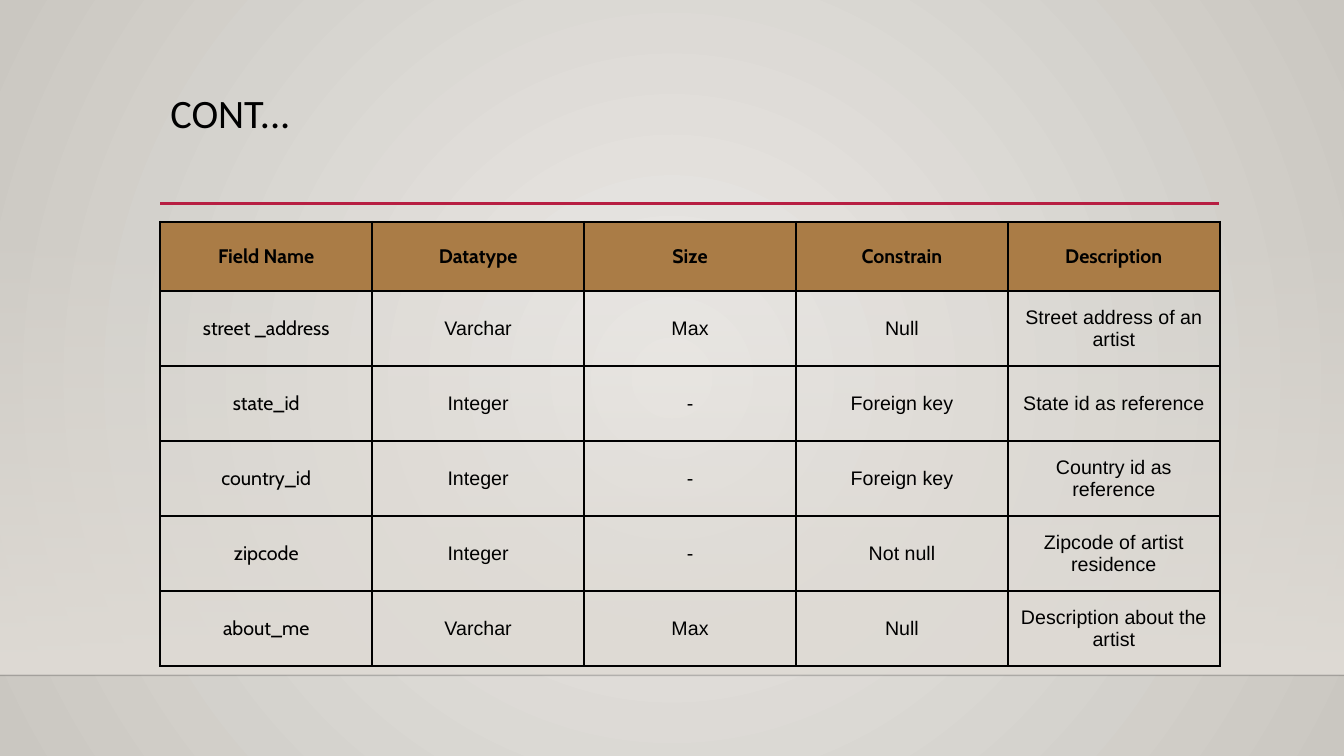
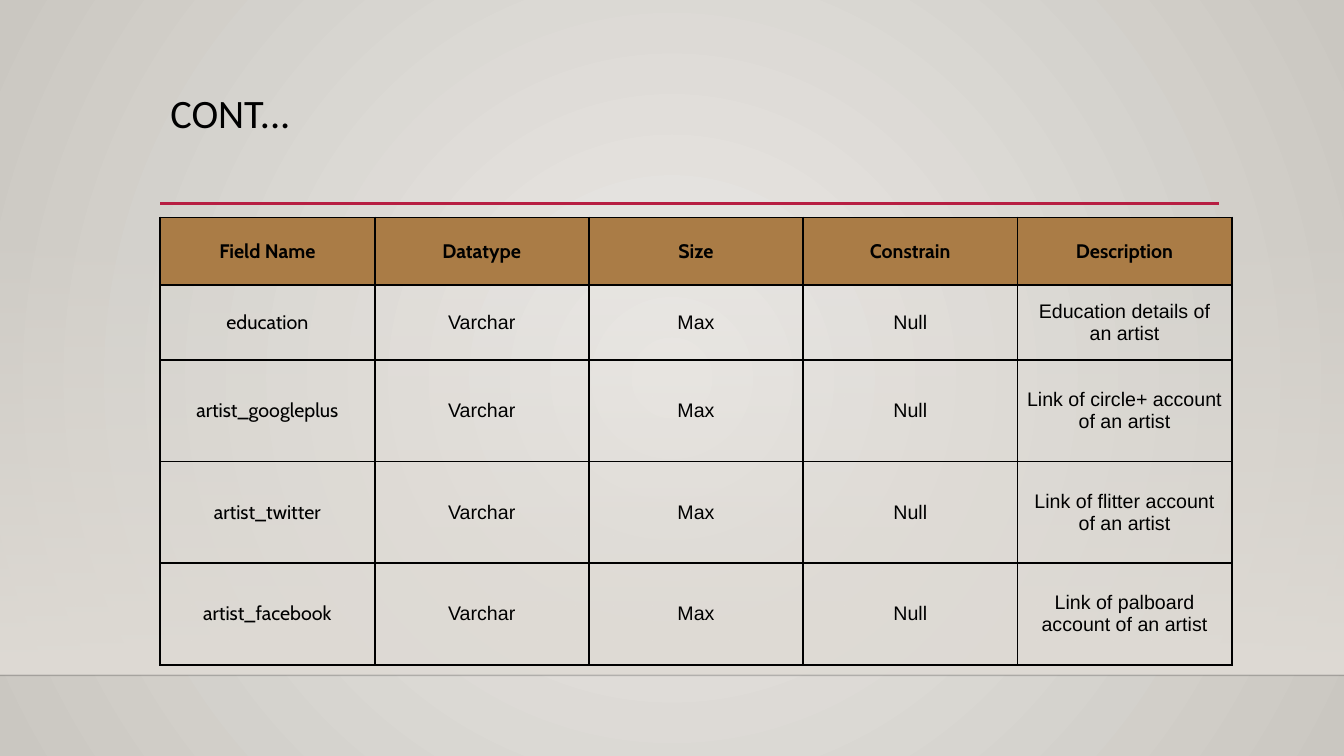
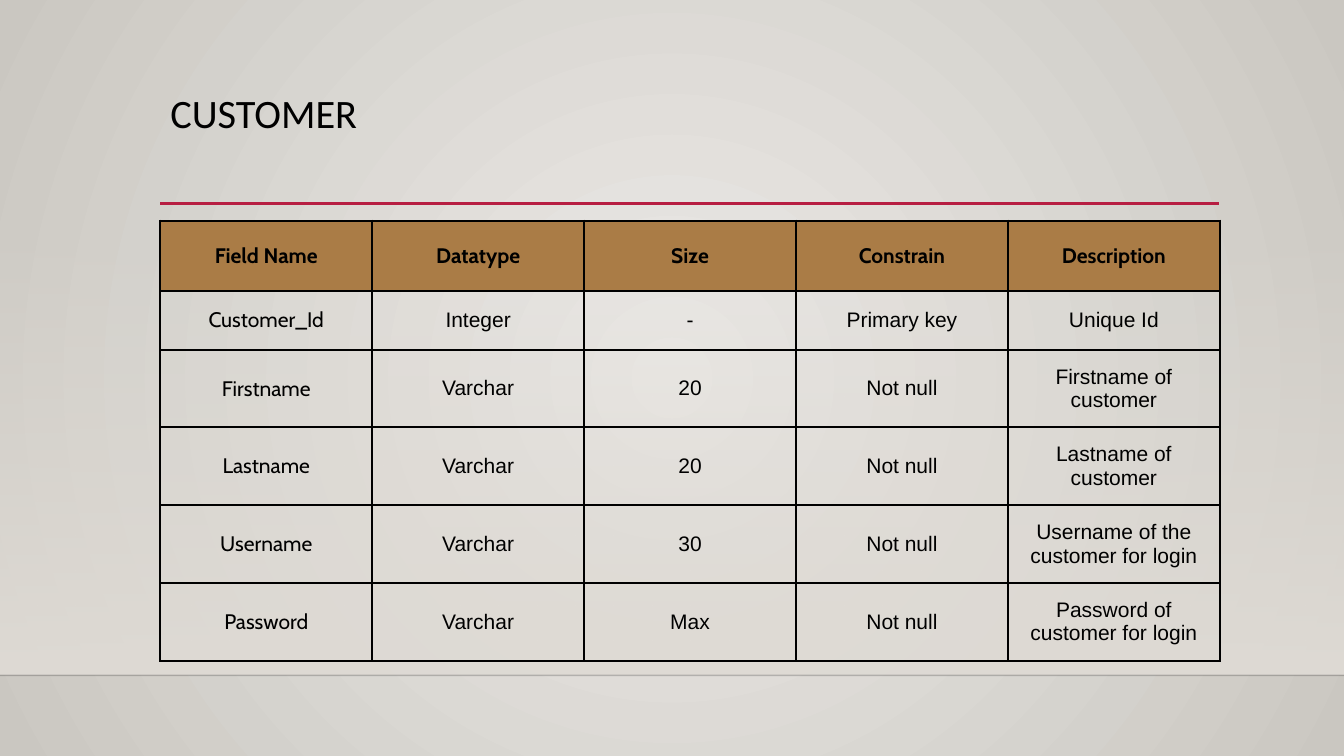
from dataclasses import dataclass

from lxml.etree import SubElement
from pptx import Presentation
from pptx.dml.color import RGBColor
from pptx.enum.shapes import MSO_CONNECTOR, MSO_SHAPE
from pptx.enum.text import MSO_ANCHOR, PP_ALIGN
from pptx.oxml.ns import qn
from pptx.util import Cm, Pt


@dataclass(frozen=True)
class Theme:
    black: str = "000000"
    accent: str = "B71E42"
    header: str = "AA7C46"
    glow: str = "ECEAE7"
    edge: str = "CAC7C1"
    floor: str = "DFDBD5"
    floor_line: str = "000001"
    title_font: str = "Calibri"
    name_font: str = "Cabin"
    body_font: str = "Arial"
    title_size: float = 28.8
    border: float = 1.5


theme = Theme()
LEFT = 4.04
HEADINGS = ["Field Name", "Datatype", "Size", "Constrain", "Description"]

SLIDES = [
    dict(title="CONT...", top=5.59, column=5.34, size=14, inset=0.2,
         heights=[1.74] + [1.89] * 5,
         rows=[
             ["street _address", "Varchar", "Max", "Null", "Street address of an artist"],
             ["state_id", "Integer", "-", "Foreign key", "State id as reference"],
             ["country_id", "Integer", "-", "Foreign key", "Country id as reference"],
             ["zipcode", "Integer", "-", "Not null", "Zipcode of artist residence"],
             ["about_me", "Varchar", "Max", "Null", "Description about the artist"],
         ]),
    dict(title="CONT...", top=5.48, column=5.4, size=14, inset=0.2,
         heights=[1.71, 1.88] + [2.56] * 3,
         rows=[
             ["education", "Varchar", "Max", "Null", "Education details of an artist"],
             ["artist_googleplus", "Varchar", "Max", "Null", "Link of circle+ account of an artist"],
             ["artist_twitter", "Varchar", "Max", "Null", "Link of flitter account of an artist"],
             ["artist_facebook", "Varchar", "Max", "Null", "Link of palboard account of an artist"],
         ]),
    dict(title="CUSTOMER", top=5.56, column=5.34, size=15, inset=0.23,
         heights=[1.77, 1.48] + [1.96] * 4,
         rows=[
             ["Customer_Id", "Integer", "-", "Primary key", "Unique Id"],
             ["Firstname", "Varchar", "20", "Not null", "Firstname of customer"],
             ["Lastname", "Varchar", "20", "Not null", "Lastname of customer"],
             ["Username", "Varchar", "30", "Not null", "Username of the customer for login"],
             ["Password", "Varchar", "Max", "Not null", "Password of customer for login"],
         ]),
]


def write(frame, text, font, size, bold=False, align=PP_ALIGN.CENTER, spacing=1.0):
    para = frame.paragraphs[0]
    para.alignment = align
    para.line_spacing = spacing
    span = para.add_run()
    span.text = text
    span.font.name = font
    span.font.size = Pt(size)
    span.font.bold = bold
    span.font.color.rgb = RGBColor.from_string(theme.black)


def paint_gradient(fill, *colours):
    fill.gradient()
    for stop, colour in zip(fill.gradient_stops, colours):
        stop.color.rgb = RGBColor.from_string(colour)


deck = Presentation()
deck.slide_width = Cm(33.87)
deck.slide_height = Cm(19.05)
layout = deck.slide_layouts[5]

title, *footers = layout.placeholders
for footer in footers:
    layout.shapes.element.remove(footer.element)
title.left, title.top, title.width, title.height = Cm(LEFT), Cm(2.24), Cm(26.68), Cm(2.92)
title.text_frame.vertical_anchor = MSO_ANCHOR.TOP

paint_gradient(layout.background.fill, theme.glow, theme.edge)
gradient = layout.element.find(".//" + qn("a:gradFill"))
gradient.remove(gradient.find(qn("a:lin")))
circle = SubElement(gradient, qn("a:path"), path="circle")
SubElement(circle, qn("a:fillToRect"), l="50000", t="50000", r="50000", b="50000")

pages = [deck.slides.add_slide(layout) for _ in SLIDES]

shapes = pages[0].shapes
band = shapes.add_shape(MSO_SHAPE.RECTANGLE, 0, Cm(5.61), deck.slide_width, Cm(11.4))
band.shadow.inherit = False
band.line.fill.background()
paint_gradient(band.fill, theme.floor, theme.floor)
band.fill.gradient_angle = 270
SubElement(band.element.find(".//" + qn("a:srgbClr")), qn("a:alpha"), val="0")

rules = []
for start, end, height, colour, width in [
    (0, 33.87, 17.02, theme.floor_line, 1),
    (LEFT, 30.73, 5.13, theme.accent, 2.5),
]:
    rule = shapes.add_connector(MSO_CONNECTOR.STRAIGHT, Cm(start), Cm(height), Cm(end), Cm(height))
    rule.line.color.rgb = RGBColor.from_string(colour)
    rule.line.width = Pt(width)
    SubElement(rule.element.spPr, qn("a:effectLst"))
    rules.append(rule)
SubElement(rules[0].element.find(".//" + qn("a:srgbClr")), qn("a:alpha"), val="20000")

for position, shape in enumerate([band, *rules], start=2):
    layout.shapes.element.insert(position, shape.element)

for page, content in zip(pages, SLIDES):
    write(page.shapes.title.text_frame, content["title"], theme.title_font, theme.title_size,
          align=PP_ALIGN.LEFT, spacing=0.9)

    rows = [HEADINGS] + content["rows"]
    frame = page.shapes.add_table(
        len(rows), len(HEADINGS), Cm(LEFT), Cm(content["top"]),
        Cm(content["column"] * len(HEADINGS)), Cm(sum(content["heights"])))
    table = frame.table
    table.first_row = False
    table.horz_banding = False
    for column in table.columns:
        column.width = Cm(content["column"])

    for row_index, (texts, height) in enumerate(zip(rows, content["heights"])):
        table.rows[row_index].height = Cm(height)
        is_header = row_index == 0
        for column_index, text in enumerate(texts):
            cell = table.cell(row_index, column_index)
            cell.vertical_anchor = MSO_ANCHOR.MIDDLE
            cell.margin_left = cell.margin_right = Cm(content["inset"])
            cell.margin_top = cell.margin_bottom = Cm(content["inset"])
            properties = cell._tc.get_or_add_tcPr()
            for side in ("a:lnL", "a:lnR", "a:lnT", "a:lnB"):
                border = SubElement(properties, qn(side), w=str(Pt(theme.border)))
                solid = SubElement(border, qn("a:solidFill"))
                SubElement(solid, qn("a:srgbClr"), val=theme.black)
            if is_header:
                cell.fill.solid()
                cell.fill.fore_color.rgb = RGBColor.from_string(theme.header)
            else:
                cell.fill.background()
            font = theme.name_font if is_header or column_index == 0 else theme.body_font
            write(cell.text_frame, text, font, content["size"], bold=is_header)

deck.save("out.pptx")
